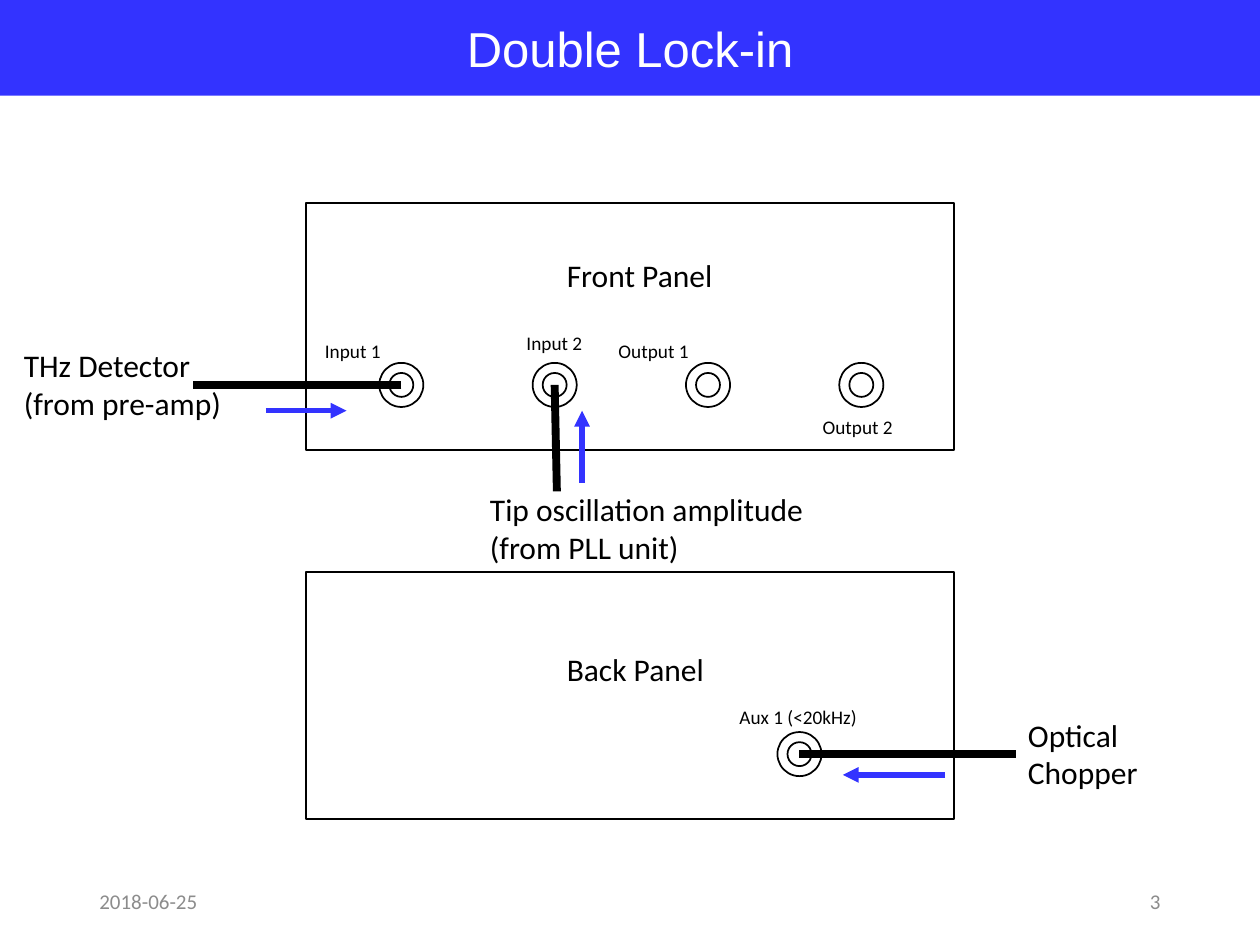
from lxml import etree
from pptx import Presentation
from pptx.dml.color import RGBColor
from pptx.enum.shapes import MSO_CONNECTOR, MSO_SHAPE
from pptx.enum.text import MSO_ANCHOR, MSO_AUTO_SIZE, PP_ALIGN
from pptx.oxml.ns import qn
from pptx.util import Inches, Pt

RECT, OVAL = MSO_SHAPE.RECTANGLE, MSO_SHAPE.OVAL
STRAIGHT = MSO_CONNECTOR.STRAIGHT
LEFT, CENTER, RIGHT = PP_ALIGN.LEFT, PP_ALIGN.CENTER, PP_ALIGN.RIGHT
TOP, MIDDLE = MSO_ANCHOR.TOP, MSO_ANCHOR.MIDDLE
FIT, FIXED = MSO_AUTO_SIZE.SHAPE_TO_FIT_TEXT, MSO_AUTO_SIZE.NONE

BLACK = RGBColor(0x00, 0x00, 0x00)
WHITE = RGBColor(0xFF, 0xFF, 0xFF)
BLUE = RGBColor(0x33, 0x33, 0xFF)
GRAY = RGBColor(0x8C, 0x8C, 0x8C)

WIDTH, HEIGHT = Inches(10), Inches(7.5)
COLS, ROWS = 100, 75
PANEL_X, PANEL_W, PANEL_H = 24.3, 51.4, 19.6
FRONT_Y, BACK_Y = 16.1, 45.4
JACK_DROP = 14.45
FRONT_JACK_Y, BACK_JACK_Y = FRONT_Y + JACK_DROP, BACK_Y + JACK_DROP
FRONT_JACKS = [31.85 + 12.17 * i for i in range(4)]
AUX_X = 63.45
RING_SIZES = (3.5, 1.9)

TITLE = {"name": "Arial", "size": Pt(28), "color": WHITE}
BODY = {"name": "Calibri", "size": Pt(18), "color": BLACK}
SMALL = {**BODY, "size": Pt(11)}
FOOTER = {**BODY, "size": Pt(12), "color": GRAY}


def col(n):
    return round(WIDTH * n / COLS)


def row(n):
    return round(HEIGHT * n / ROWS)


def box(x, y, w, h):
    return col(x), row(y), col(w), row(h)


def write(tf, text, style, align=LEFT, anchor=TOP, fit=FIXED, wrap=True):
    frame = {"word_wrap": wrap, "vertical_anchor": anchor, "auto_size": fit}
    for key, value in frame.items():
        setattr(tf, key, value)
    for i, line in enumerate(text.split("\n")):
        p = tf.paragraphs[0] if i == 0 else tf.add_paragraph()
        p.alignment = align
        r = p.add_run()
        r.text = line
        for key, value in style.items():
            if key == "color":
                r.font.color.rgb = value
            else:
                setattr(r.font, key, value)


def add_text(s, place, text, style, **layout):
    sp = s.shapes.add_textbox(*box(*place))
    write(sp.text_frame, text, style, **layout)
    return sp


def add_title(s, text):
    sp = s.shapes.add_shape(RECT, *box(0, 0, COLS, 7.6))
    sp.shadow.inherit = False
    sp.fill.solid()
    sp.fill.fore_color.rgb = BLUE
    sp.line.fill.background()
    write(sp.text_frame, text, TITLE, align=CENTER, anchor=MIDDLE, wrap=False)


def add_outline(shapes, kind, place):
    sp = shapes.add_shape(kind, *box(*place))
    sp.shadow.inherit = False
    sp.fill.background()
    sp.line.color.rgb = BLACK
    sp.line.width = Pt(1)


def add_jack(s, x, y):
    group = s.shapes.add_group_shape()
    for d in RING_SIZES:
        add_outline(group.shapes, OVAL, (x - d / 2, y - d / 2, d, d))


def add_line(s, start, end, color, width):
    c = s.shapes.add_connector(STRAIGHT, col(start[0]), row(start[1]), col(end[0]), row(end[1]))
    c.line.color.rgb = color
    c.line.width = Pt(width)
    etree.SubElement(c._element.spPr, qn("a:effectLst"))
    return c


def add_cable(s, start, end):
    return add_line(s, start, end, BLACK, 4.5)


def add_arrow(s, start, end):
    c = add_line(s, start, end, BLUE, 3)
    etree.SubElement(c.line._get_or_add_ln(), qn("a:tailEnd"), type="triangle")


def add_panel(s, y, jacks):
    add_outline(s.shapes, RECT, (PANEL_X, y, PANEL_W, PANEL_H))
    for x in jacks:
        add_jack(s, x, y + JACK_DROP)


def main():
    prs = Presentation()
    prs.slide_width, prs.slide_height = WIDTH, HEIGHT
    s = prs.slides.add_slide(prs.slide_layouts[6])

    add_title(s, "Double Lock-in")
    add_text(s, (6.9, 69.5, 22.5, 4), "2018-06-25", FOOTER, anchor=MIDDLE)
    add_text(s, (70.6, 69.5, 22.5, 4), "3", FOOTER, align=RIGHT, anchor=MIDDLE)

    add_panel(s, BACK_Y, [AUX_X])
    add_panel(s, FRONT_Y, FRONT_JACKS)

    labels = [
        ((44, 51.1, 13.9, 4), "Back Panel", BODY),
        ((44, 19.8, 13.9, 4), "Front Panel", BODY),
        ((57.7, 55.5, 11.6, 2.9), "Aux 1 (<20kHz)", SMALL),
        ((24.8, 26.4, 6.6, 2.9), "Input 1", SMALL),
        ((40.8, 25.8, 6.6, 2.9), "Input 2", SMALL),
        ((48.1, 26.4, 8.2, 2.9), "Output 1", SMALL),
        ((64.3, 32.5, 8.2, 2.9), "Output 2", SMALL),
        ((0.9, 27, 17.8, 7.1), "THz Detector\n(from pre-amp)", BODY),
        ((37.9, 38.4, 27.3, 7.1), "Tip oscillation amplitude\n(from PLL unit)", BODY),
    ]
    for place, text, style in labels:
        add_text(s, place, text, style, fit=FIT)
    chopper = add_text(s, (80.6, 56.3, 10.9, 7.1), "Optical\nChopper", BODY, fit=FIT)

    add_cable(s, (FRONT_JACKS[0], FRONT_JACK_Y), (15.3, FRONT_JACK_Y))
    add_cable(s, (FRONT_JACKS[1], FRONT_JACK_Y), (44.2, 39))
    aux_cable = add_cable(s, (AUX_X, BACK_JACK_Y), (80.6, BACK_JACK_Y))
    aux_cable.end_connect(chopper, 1)

    add_arrow(s, (75, 61.5), (66.9, 61.5))
    add_arrow(s, (46.2, 38.3), (46.2, 32.6))
    add_arrow(s, (21.1, 32.6), (27.5, 32.6))

    prs.save("out.pptx")


if __name__ == "__main__":
    main()
